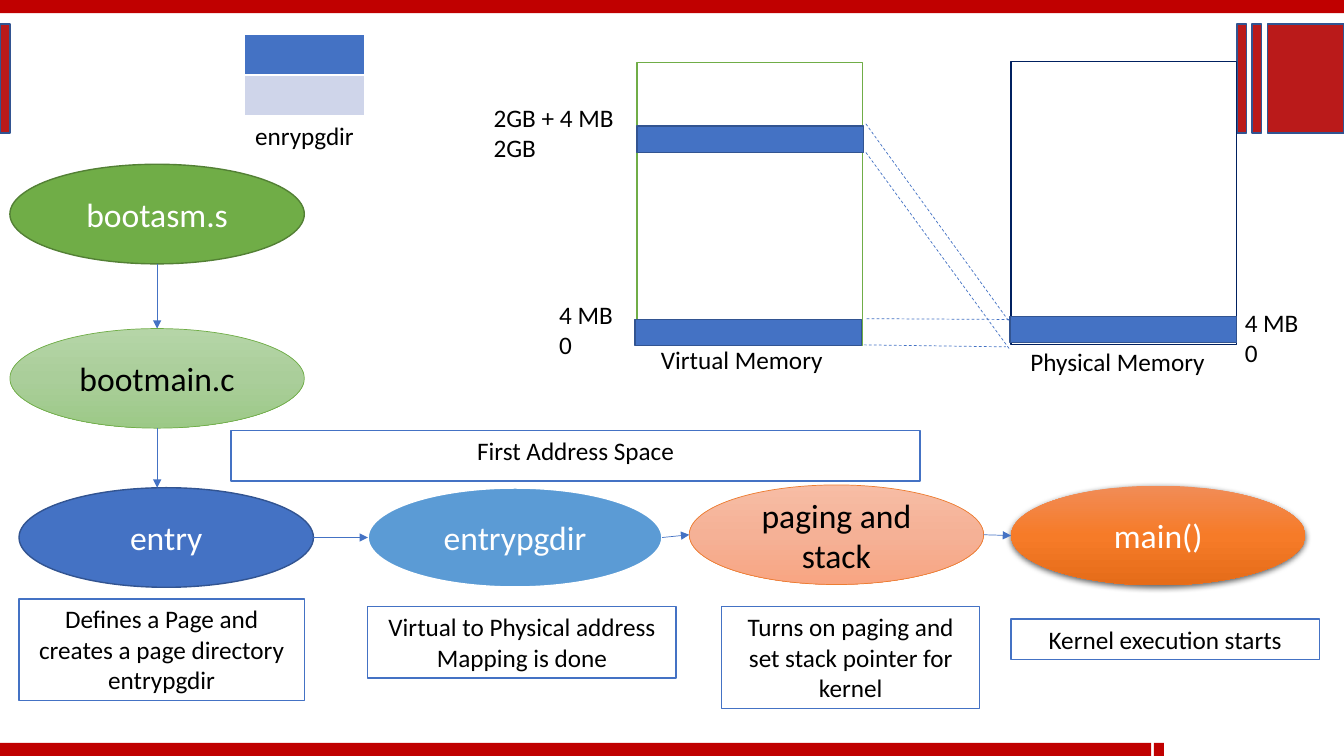
import copy
import lxml.etree
import pptx
import pptx.dml.color
import pptx.enum.dml
import pptx.enum.shapes
import pptx.enum.text
import pptx.oxml
import pptx.oxml.ns
import pptx.util

Cm = pptx.util.Cm
Pt = pptx.util.Pt
qn = pptx.oxml.ns.qn
SHAPES = pptx.enum.shapes.MSO_SHAPE
ALIGN = pptx.enum.text.PP_ALIGN
ANCHOR = pptx.enum.text.MSO_ANCHOR

BLUE, NAVY, WHITE, BLACK = "4472C4", "325491", "FFFFFF", "000000"
RED, BRICK = "C00000", "BA1A1A"

BARS = [(0, 0, 33.87, 0.33), (0, 18.72, 29.01, 0.33), (29.08, 18.72, 0.25, 0.33)]
BLOCKS = [(0, 0.25), (31.95, 1.92), (31.55, 0.25), (31.17, 0.25)]

OVAL_WIDTH, OVAL_HEIGHT = 7.42, 2.51
STEPS = {
    "bootasm.s": (0.25, 4.14, "70AD47", ("538035", 1), WHITE),
    "bootmain.c": (0.25, 8.28, ("B5D5A7", "AACE9A", "9CC987"), ("70AD47", 0.5), BLACK),
    "entry": (0.48, 12.29, BLUE, (NAVY, 1), WHITE),
    "entrypgdir": (9.27, 12.29, "5B9BD5", (WHITE, 1.5), WHITE),
    "paging and stack": (17.37, 12.22, ("F7BDA5", "F5B196", "F8A582"), ("ED7D31", 0.5), BLACK),
    "main()": (25.48, 12.24, ("F18C57", "F67B28", "E56C19"), None, WHITE),
}
NOTES = [
    ("Defines a Page and creates a page directory entrypgdir", 0.48, 15.09, 7.19, 2.57),
    ("Virtual to Physical address Mapping is done", 9.27, 15.29, 7.77, 1.8),
    ("Turns on paging and set stack pointer for kernel", 18.19, 15.29, 6.5, 2.57),
    ("Kernel execution starts", 25.48, 15.6, 7.77, 1.02),
    ("First Address Space", 5.82, 10.85, 17.37, 1.27),
]
MEMORIES = [(16.05, 1.57, "70AD47"), (25.48, 1.55, "002060")]
PAGES = [(16, 8.05), (25.45, 7.98), (16.05, 3.18)]
CAPTIONS = [
    ("enrypgdir", 4.83, 2.9),
    ("Virtual Memory", 15.85, 8.56),
    ("Physical Memory", 25.32, 8.61),
]
ADDRESSES = [
    (("4 MB", "0"), 31.12, 7.62, 2.7),
    (("4 MB", "0"), 13.84, 7.42, 4.01),
    (("2GB + 4 MB", "2GB"), 12.19, 2.46, 4.01),
]
MAPPINGS = [
    (21.77, 8.69, 25.35, 8.74),
    (21.84, 8.03, 25.43, 8.05),
    (21.82, 3.84, 25.45, 8.81),
    (21.82, 3.12, 25.43, 8.1),
]
DIRECTORY_ROWS = [BLUE, "CFD5EA"]


def color(value):
    return pptx.dml.color.RGBColor.from_string(value)


def paint(fill, colors):
    if isinstance(colors, str):
        fill.solid()
        fill.fore_color.rgb = color(colors)


def paint_gradient(shape, colors):
    shape.fill.gradient()
    shape.fill.gradient_angle = 270
    stops = shape.element.spPr.find(".//" + qn("a:gsLst"))
    stops.insert(1, copy.deepcopy(stops[0]))
    for index, stop in enumerate(shape.fill.gradient_stops):
        stop.position = index / 2
        stop.color.rgb = color(colors[index])


def write(box, lines, size=18, ink=BLACK, align=ALIGN.CENTER, anchor=ANCHOR.TOP):
    frame = box.text_frame
    frame.word_wrap = True
    frame.vertical_anchor = anchor
    for index, line in enumerate(lines):
        para = frame.paragraphs[0] if index == 0 else frame.add_paragraph()
        para.alignment = align
        span = para.add_run()
        span.text = line
        span.font.size = Pt(size)
        span.font.name = "Calibri"
        span.font.color.rgb = color(ink)


def add_shape(kind, left, top, width, height, fill, line=None):
    shape = page.shapes.add_shape(kind, Cm(left), Cm(top), Cm(width), Cm(height))
    shape.shadow.inherit = False
    if isinstance(fill, tuple):
        paint_gradient(shape, fill)
    else:
        paint(shape.fill, fill)
    if line:
        shape.line.color.rgb = color(line[0])
        shape.line.width = Pt(line[1])
    else:
        shape.line.fill.background()
    return shape


def add_text(lines, left, top, width, height, align):
    box = page.shapes.add_textbox(Cm(left), Cm(top), Cm(width), Cm(height))
    write(box, lines, align=align)


def add_line(*ends):
    line = page.shapes.add_connector(
        pptx.enum.shapes.MSO_CONNECTOR.STRAIGHT, *[Cm(end) for end in ends])
    line.line.color.rgb = color(BLUE)
    line.line.width = Pt(0.5)
    lxml.etree.SubElement(line.element.spPr, qn("a:effectLst"))
    return line


def add_arrow(*ends):
    arrow = add_line(*ends)
    outline = arrow.element.spPr.find(qn("a:ln"))
    lxml.etree.SubElement(outline, qn("a:tailEnd"), type="triangle")


def add_shadow(shape):
    effects = shape.element.spPr.find(qn("a:effectLst"))
    shadow = lxml.etree.SubElement(
        effects, qn("a:outerShdw"), blurRad=str(Pt(4.5)), dist=str(Pt(1.5)),
        dir="5400000", algn="ctr", rotWithShape="0")
    tint = lxml.etree.SubElement(shadow, qn("a:srgbClr"), val=BLACK)
    lxml.etree.SubElement(tint, qn("a:alpha"), val="63000")


deck = pptx.Presentation()
deck.slide_width, deck.slide_height = Cm(33.87), Cm(19.05)
page = deck.slides.add_slide(deck.slide_layouts[6])

for bar in BARS:
    add_shape(SHAPES.RECTANGLE, *bar, RED)
for left, width in BLOCKS:
    add_shape(SHAPES.RECTANGLE, left, 0.61, width, 2.74, BRICK, (NAVY, 1))

for name, (left, top, fill, line, ink) in STEPS.items():
    oval = add_shape(SHAPES.OVAL, left, top, OVAL_WIDTH, OVAL_HEIGHT, fill, line)
    write(oval, [name], 24, ink, anchor=ANCHOR.MIDDLE)
    if name == "main()":
        add_shadow(oval)

corners = [step[:2] for step in STEPS.values()]
for (left, top), (next_left, next_top) in zip(corners, corners[1:]):
    if next_left > left + OVAL_WIDTH:
        middle = OVAL_HEIGHT / 2
        add_arrow(left + OVAL_WIDTH, top + middle, next_left, next_top + middle)
    else:
        center = left + OVAL_WIDTH / 2
        add_arrow(center, top + OVAL_HEIGHT, center, next_top)

for text, *place in NOTES:
    write(add_shape(SHAPES.RECTANGLE, *place, WHITE, (BLUE, 1)), [text])

directory = page.shapes.add_table(
    len(DIRECTORY_ROWS), 1, Cm(6.17), Cm(0.86), Cm(3.02), Cm(2.06)).table
for index, fill in enumerate(DIRECTORY_ROWS):
    paint(directory.cell(index, 0).fill, fill)

for left, top, outline in MEMORIES:
    add_shape(SHAPES.RECTANGLE, left, top, 5.69, 7.14, WHITE, (outline, 1))
for left, top in PAGES:
    add_shape(SHAPES.RECTANGLE, left, top, 5.72, 0.66, BLUE, (NAVY, 1))
for text, left, top in CAPTIONS:
    add_text([text], left, top, 5.69, 1.02, ALIGN.CENTER)
for lines, left, top, width in ADDRESSES:
    add_text(lines, left, top, width, 1.8, ALIGN.LEFT)
for ends in MAPPINGS:
    add_line(*ends).line.dash_style = pptx.enum.dml.MSO_LINE.DASH

deck.save("out.pptx")
